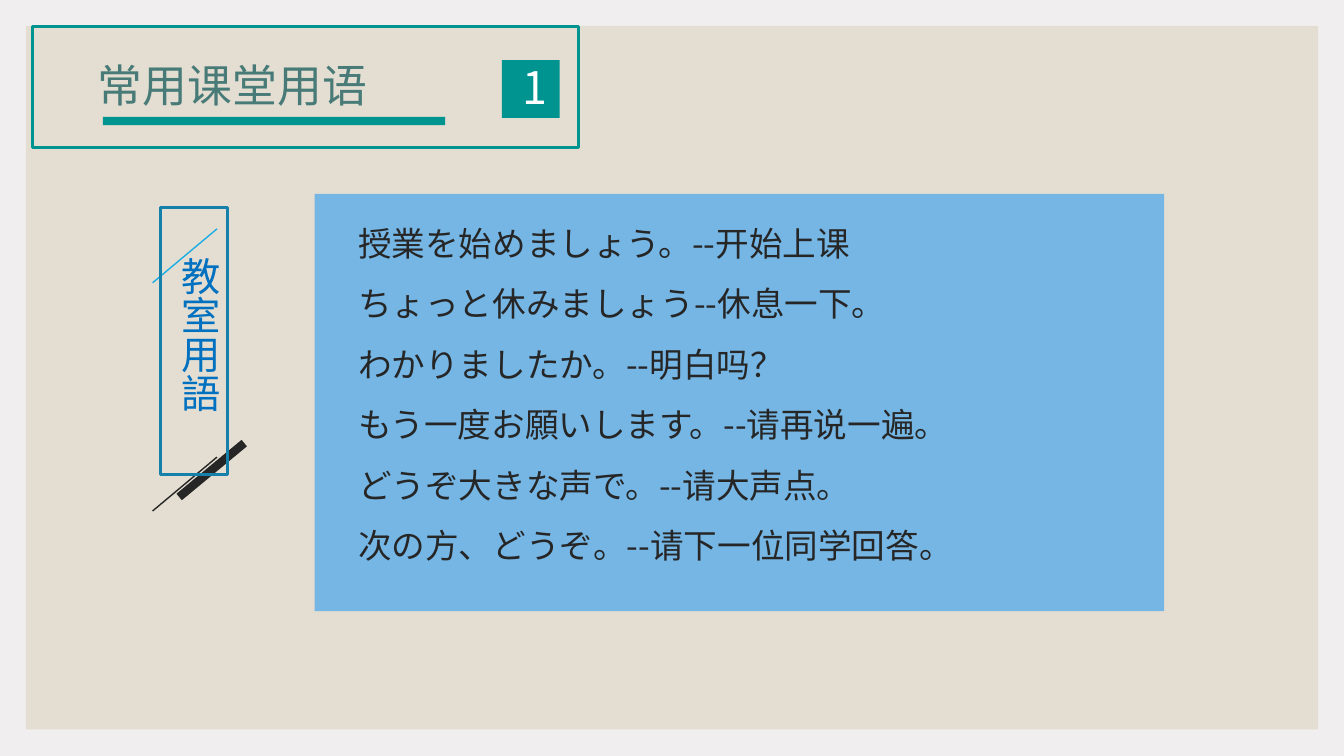
from lxml.etree import SubElement
from pptx import Presentation
from pptx.dml.color import RGBColor
from pptx.enum.shapes import MSO_CONNECTOR, MSO_SHAPE as SHAPE
from pptx.enum.text import MSO_ANCHOR as ANCHOR, MSO_AUTO_SIZE as AUTO, PP_ALIGN as ALIGN
from pptx.oxml.ns import qn
from pptx.util import Pt

PAGE = RGBColor(0xF0, 0xEE, 0xEF)
SAND = RGBColor(0xE3, 0xDE, 0xD1)
TEAL = RGBColor(0x00, 0x94, 0x91)
TITLE = RGBColor(0x48, 0x7B, 0x78)
SKY = RGBColor(0x75, 0xB6, 0xE5)
CYAN = RGBColor(0x1C, 0xAD, 0xE4)
STEEL = RGBColor(0x15, 0x80, 0xA9)
BLUE = RGBColor(0x00, 0x70, 0xC0)
INK = RGBColor(0x26, 0x26, 0x26)
WHITE = RGBColor(0xFF, 0xFF, 0xFF)
CJK = "Noto Sans CJK SC"


def write(sp, lines, size, color, font=CJK, align=ALIGN.LEFT,
          anchor=ANCHOR.MIDDLE, spacing=None, indent=0):
    tf = sp.text_frame
    tf.word_wrap = True
    tf.auto_size = AUTO.NONE
    tf.vertical_anchor = anchor
    for i, line in enumerate(lines):
        p = tf.add_paragraph() if i else tf.paragraphs[0]
        p.alignment = align
        if spacing:
            p.line_spacing = spacing
        if indent:
            p._p.get_or_add_pPr().set("marL", str(Pt(indent)))
        r = p.add_run()
        r.text = line
        r.font.size = Pt(size)
        r.font.name = font
        r.font.color.rgb = color
        SubElement(r.font._element, qn("a:ea"), typeface=font)


def add_box(x, y, w, h, fill=None, line=None):
    sp = s.shapes.add_shape(SHAPE.RECTANGLE, Pt(x), Pt(y), Pt(w), Pt(h))
    sp.shadow.inherit = False
    if fill is None:
        sp.fill.background()
    else:
        sp.fill.solid()
        sp.fill.fore_color.rgb = fill
    if line is None:
        sp.line.fill.background()
    else:
        sp.line.color.rgb = line
        sp.line.width = Pt(2.25)
    return sp


prs = Presentation()
prs.slide_width, prs.slide_height = Pt(960), Pt(540)
s = prs.slides.add_slide(prs.slide_layouts[5])
s.background.fill.solid()
s.background.fill.fore_color.rgb = PAGE

# Sand-coloured sheet, placed behind the title
sheet = add_box(18.5, 18.5, 923, 502.5, fill=SAND)
title = s.shapes.title
title.element.addprevious(sheet.element)

# Diagonal strokes around the side label
for x1, y1, x2, y2, color, width in [
    (155, 163.5, 109, 202, CYAN, 1),
    (128, 355, 174.5, 316.5, INK, 6),
    (109, 365, 155, 326.5, INK, 1),
]:
    stroke = s.shapes.add_connector(MSO_CONNECTOR.STRAIGHT, Pt(x1), Pt(y1), Pt(x2), Pt(y2))
    stroke.line.color.rgb = color
    stroke.line.width = Pt(width)
    SubElement(stroke._element.spPr, qn("a:effectLst"))

# Phrase panel
panel = add_box(224.75, 138.5, 606.75, 298, fill=SKY)
panel.text_frame.margin_top = Pt(6)
write(panel, [
    "授業を始めましょう。--开始上课",
    "ちょっと休みましょう--休息一下。",
    "わかりましたか。--明白吗？",
    "もう一度お願いします。--请再说一遍。",
    "どうぞ大きな声で。--请大声点。",
    "次の方、どうぞ。--请下一位同学回答。",
], 24, INK, anchor=ANCHOR.TOP, spacing=Pt(43.2), indent=24)

# Title with underline and frame
title.left, title.top, title.width, title.height = Pt(62.75), Pt(37.5), Pt(287), Pt(46)
write(title, ["常用课堂用语"], 32, TITLE)
add_box(73.5, 83.5, 244.5, 6, fill=TEAL)
add_box(23, 19, 390.5, 86.5, line=TEAL)

# Section number
add_box(358.5, 43, 41.25, 41.25, fill=TEAL)
number = s.shapes.add_textbox(Pt(366.5), Pt(39), Pt(25), Pt(46))
write(number, ["1"], 32, WHITE, align=ALIGN.CENTER)

# Vertical side label
label = add_box(114.5, 148.5, 48.25, 190.5, line=STEEL)
write(label, ["教室用語"], 28, BLUE, font="Quicksand", anchor=ANCHOR.TOP, indent=28)
label.text_frame._txBody.bodyPr.set("vert", "eaVert")

prs.save("out.pptx")
